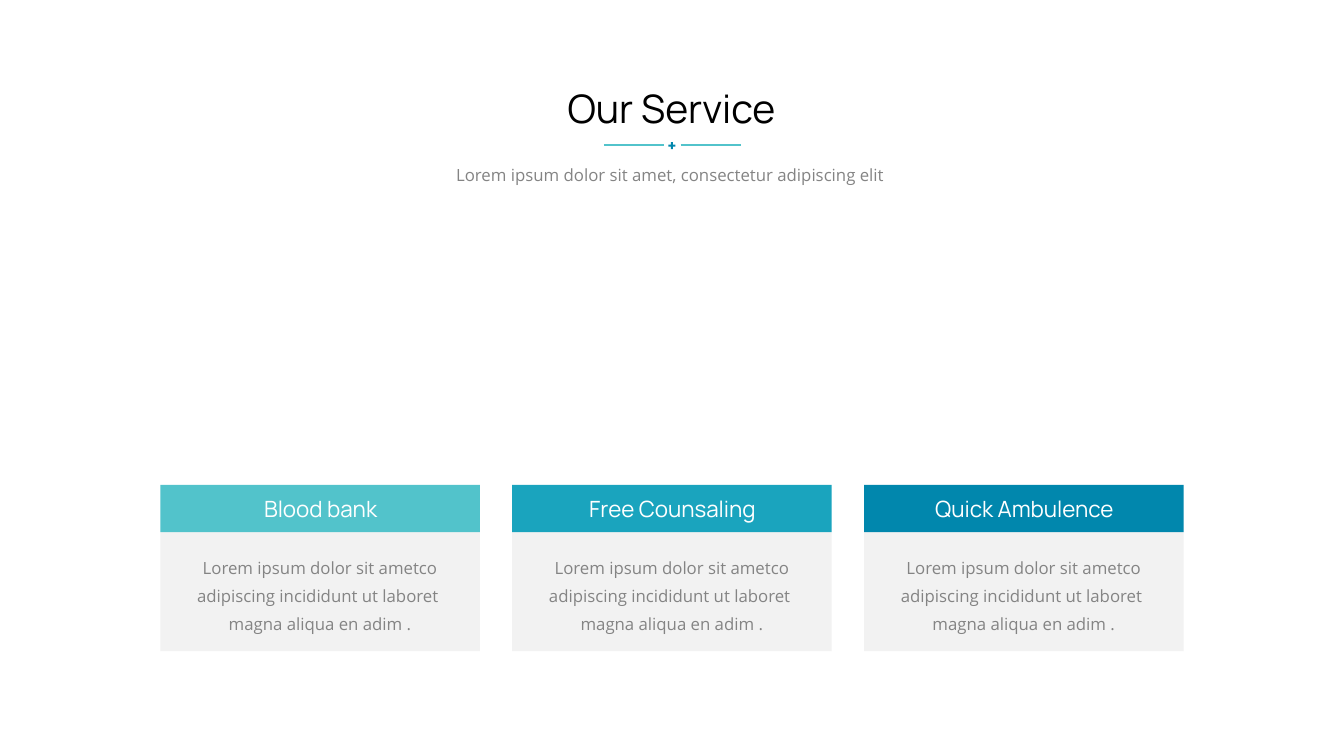
from dataclasses import dataclass

from lxml import etree
from pptx import Presentation
from pptx.dml.color import RGBColor
from pptx.enum.shapes import MSO_CONNECTOR, MSO_SHAPE
from pptx.enum.text import MSO_ANCHOR, MSO_AUTO_SIZE, PP_ALIGN
from pptx.oxml.ns import qn
from pptx.util import Emu, Pt

RECT, CROSS = MSO_SHAPE.RECTANGLE, MSO_SHAPE.CROSS
STRAIGHT = MSO_CONNECTOR.STRAIGHT
CENTER, TOP, NO_FIT = PP_ALIGN.CENTER, MSO_ANCHOR.TOP, MSO_AUTO_SIZE.NONE

EMU_PER_PX = 9144
COLORS = {
    "black": "000000",
    "white": "FFFFFF",
    "gray": "848484",
    "panel": "F2F2F2",
    "aqua": "52C3CB",
    "teal": "1AA4BE",
    "blue": "0187AD",
}


@dataclass(frozen=True)
class TextStyle:
    font: str
    size: int
    color: str
    spacing: float = 1.0


@dataclass(frozen=True)
class ServiceCard:
    name: str
    color: str


TITLE = TextStyle("Manrope", 28, "black")
SUBTITLE = TextStyle("Open Sans", 12, "gray", 1.3)
CARD_NAME = TextStyle("Manrope", 16, "white")
CARD_BODY = TextStyle("Open Sans", 12, "gray", 1.4)

CARDS = [
    ServiceCard("Blood bank", "aqua"),
    ServiceCard("Free Counsaling", "teal"),
    ServiceCard("Quick Ambulence", "blue"),
]
BODY_LINES = [
    "Lorem ipsum dolor sit ametco adipiscing incididunt ut laboret ",
    "magna aliqua en adim .",
]
CARD_LEFT, CARD_STEP, CARD_WIDTH = 159, 349, 317
RULE_LEFTS, RULE_WIDTH, RULE_Y = (599, 675), 60, 144


def px(n: int) -> Emu:
    return Emu(n * EMU_PER_PX)


def rgb(name: str) -> RGBColor:
    return RGBColor.from_string(COLORS[name])


def fill_text(tf, lines: list[str], style: TextStyle) -> None:
    tf.word_wrap = True
    tf.auto_size = NO_FIT
    tf.vertical_anchor = TOP
    for i, line in enumerate(lines):
        p = tf.paragraphs[0] if i == 0 else tf.add_paragraph()
        p.alignment = CENTER
        p.line_spacing = style.spacing
        r = p.add_run()
        r.text = line
        r.font.name = style.font
        r.font.size = Pt(style.size)
        r.font.color.rgb = rgb(style.color)


def add_text(s, x: int, y: int, w: int, h: int, lines: list[str], style: TextStyle) -> None:
    fill_text(s.shapes.add_textbox(px(x), px(y), px(w), px(h)).text_frame, lines, style)


def add_block(s, kind, x: int, y: int, w: int, h: int, color: str):
    sp = s.shapes.add_shape(kind, px(x), px(y), px(w), px(h))
    sp.shadow.inherit = False
    sp.fill.solid()
    sp.fill.fore_color.rgb = rgb(color)
    sp.line.fill.background()
    return sp


def add_rule(s, x: int) -> None:
    line = s.shapes.add_connector(STRAIGHT, px(x), px(RULE_Y), px(x + RULE_WIDTH), px(RULE_Y))
    line.line.color.rgb = rgb("aqua")
    line.line.width = Pt(1.5)
    etree.SubElement(line._element.spPr, qn("a:effectLst"))


def add_heading(s) -> None:
    title = s.shapes.title
    title.left, title.top, title.width, title.height = px(427), px(79), px(478), px(57)
    fill_text(title.text_frame, ["Our Service"], TITLE)
    for x in RULE_LEFTS:
        add_rule(s, x)
    plus = add_block(s, CROSS, 663, 141, 7, 7, "blue")
    plus.adjustments[0] = 0.35
    add_text(s, 323, 153, 688, 34,
             ["Lorem ipsum dolor sit amet, consectetur adipiscing elit "], SUBTITLE)


def add_card(s, x: int, card: ServiceCard) -> None:
    add_block(s, RECT, x, 528, CARD_WIDTH, 118, "panel")
    add_block(s, RECT, x, 481, CARD_WIDTH, 47, card.color)
    add_text(s, x + 55, 486, 208, 37, [card.name], CARD_NAME)
    add_text(s, x + 18, 540, 281, 92, BODY_LINES, CARD_BODY)


def main() -> None:
    prs = Presentation()
    prs.slide_width, prs.slide_height = px(1333), px(750)
    s = prs.slides.add_slide(prs.slide_layouts[5])
    add_heading(s)
    for i, card in enumerate(CARDS):
        add_card(s, CARD_LEFT + i * CARD_STEP, card)
    prs.save("out.pptx")


if __name__ == "__main__":
    main()
